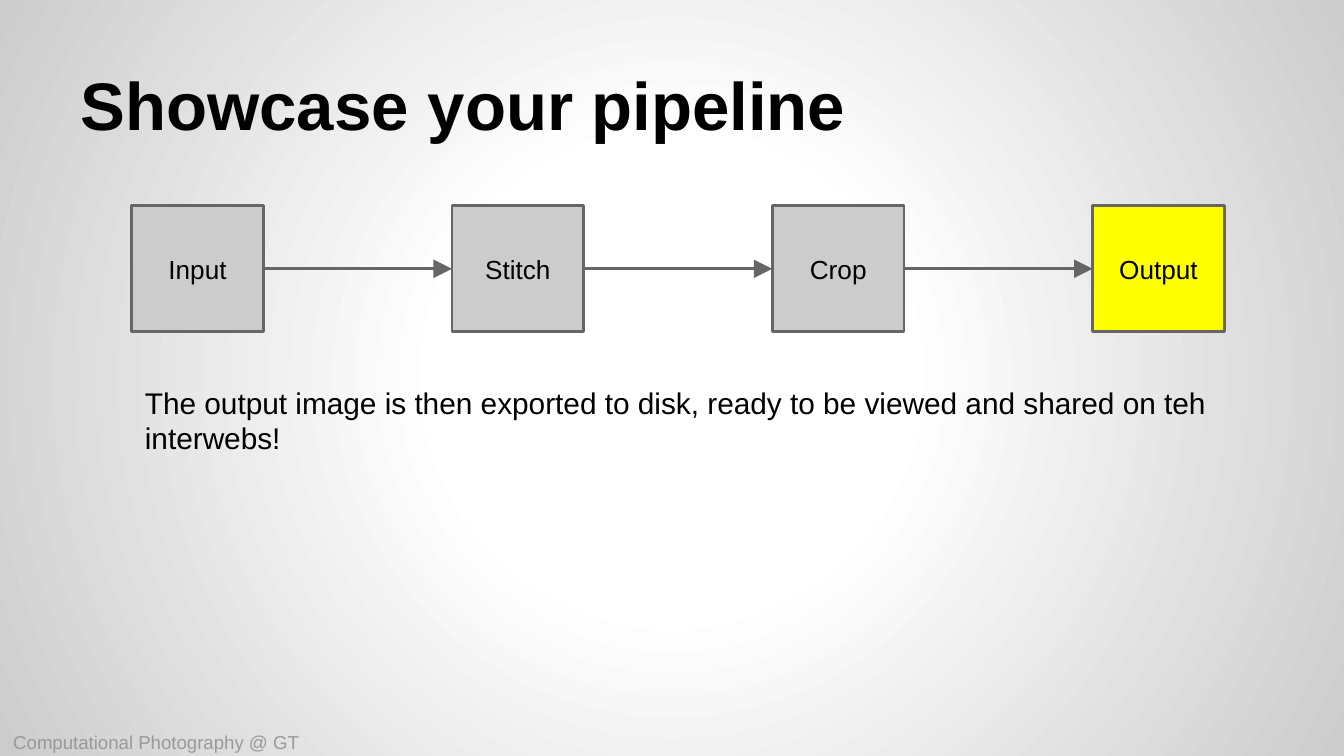
from pptx import Presentation
from pptx.dml.color import RGBColor
from pptx.enum.shapes import MSO_CONNECTOR, MSO_SHAPE
from pptx.enum.text import MSO_ANCHOR, MSO_AUTO_SIZE, PP_ALIGN
from pptx.oxml import parse_xml
from pptx.oxml.ns import nsdecls, qn
from pptx.util import Inches, Pt

COLORS = {
    "text": "000000",
    "footer": "999999",
    "outline": "666666",
    "step": "CCCCCC",
    "output": "FFFF00",
}
TITLE = "Showcase your pipeline"
FOOTER = "Computational Photography @ GT"
CAPTION = (
    "The output image is then exported to disk, ready to be viewed "
    "and shared on teh interwebs!"
)
STEPS = [("Input", "step"), ("Stitch", "step"), ("Crop", "step"), ("Output", "output")]
BACKGROUND_STOPS = [(0, "FFFFFF"), (30, "FFFFFF"), (100, "CCCCCC")]

FIRST_LEFT, LAST_LEFT = 0.98, 8.13
STEP_TOP, STEP_WIDTH, STEP_HEIGHT = 1.53, 0.98, 0.94
STEP_PITCH = (LAST_LEFT - FIRST_LEFT) / (len(STEPS) - 1)


def color(name):
    return RGBColor.from_string(COLORS[name])


def set_background(slide):
    slide.background.fill.gradient()
    stops = "".join(
        f'<a:gs pos="{position * 1000}"><a:srgbClr val="{value}"/></a:gs>'
        for position, value in BACKGROUND_STOPS
    )
    gradient = parse_xml(
        f'<a:gradFill {nsdecls("a")} rotWithShape="1"><a:gsLst>{stops}</a:gsLst>'
        '<a:path path="circle">'
        '<a:fillToRect l="50000" t="50000" r="50000" b="50000"/></a:path>'
        "<a:tileRect/></a:gradFill>"
    )
    old_gradient = next(slide.element.iter(qn("a:gradFill")))
    old_gradient.getparent().replace(old_gradient, gradient)


def set_text(shape, text, size, color_name="text", bold=False,
             anchor=MSO_ANCHOR.MIDDLE, align=PP_ALIGN.LEFT, inset=0.1):
    frame = shape.text_frame
    frame.text = text
    frame.word_wrap = True
    frame.auto_size = MSO_AUTO_SIZE.NONE
    frame.vertical_anchor = anchor
    frame.margin_left = frame.margin_right = Inches(0.1)
    frame.margin_top = frame.margin_bottom = Inches(inset)
    paragraph = frame.paragraphs[0]
    paragraph.alignment = align
    font = paragraph.runs[0].font
    font.name, font.size, font.bold = "Arial", Pt(size), bold
    font.color.rgb = color(color_name)


def add_step(slide, index, label, fill_name):
    shape = slide.shapes.add_shape(
        MSO_SHAPE.RECTANGLE, Inches(FIRST_LEFT + index * STEP_PITCH),
        Inches(STEP_TOP), Inches(STEP_WIDTH), Inches(STEP_HEIGHT))
    shape.shadow.inherit = False
    shape.fill.solid()
    shape.fill.fore_color.rgb = color(fill_name)
    shape.line.color.rgb = color("outline")
    shape.line.width = Pt(1.5)
    set_text(shape, label, 14, align=PP_ALIGN.CENTER)
    return shape


def add_arrow(slide, source, target):
    arrow = slide.shapes.add_connector(MSO_CONNECTOR.STRAIGHT, 0, 0, 0, 0)
    arrow.begin_connect(source, 3)
    arrow.end_connect(target, 1)
    arrow.line.color.rgb = color("outline")
    arrow.line.width = Pt(1.5)
    properties = arrow.element.spPr
    properties.find(qn("a:ln")).append(
        parse_xml(f'<a:tailEnd {nsdecls("a")} type="triangle" w="lg" len="lg"/>'))
    properties.append(parse_xml(f'<a:effectLst {nsdecls("a")}/>'))


def main():
    """Build the image pipeline slide."""
    presentation = Presentation()
    presentation.slide_width = Inches(10)
    presentation.slide_height = presentation.slide_width * 9 // 16
    slide = presentation.slides.add_slide(presentation.slide_layouts[5])
    set_background(slide)

    title = slide.shapes.title
    title.left, title.top = Inches(0.5), Inches(0.23)
    title.width, title.height = Inches(9), Inches(0.94)
    set_text(title, TITLE, 36, bold=True, anchor=MSO_ANCHOR.BOTTOM)

    footer = slide.shapes.add_textbox(
        Inches(0), Inches(5.41), Inches(2.81), Inches(0.22))
    set_text(footer, FOOTER, 10, "footer")

    steps = [add_step(slide, index, *step) for index, step in enumerate(STEPS)]
    for source, target in zip(steps, steps[1:]):
        add_arrow(slide, source, target)

    caption = slide.shapes.add_textbox(
        Inches(FIRST_LEFT), Inches(2.81), Inches(8.14), Inches(0.64))
    set_text(caption, CAPTION, 16, anchor=MSO_ANCHOR.TOP, inset=0.05)
    caption.text_frame.auto_size = MSO_AUTO_SIZE.SHAPE_TO_FIT_TEXT

    presentation.save("out.pptx")


if __name__ == "__main__":
    main()
